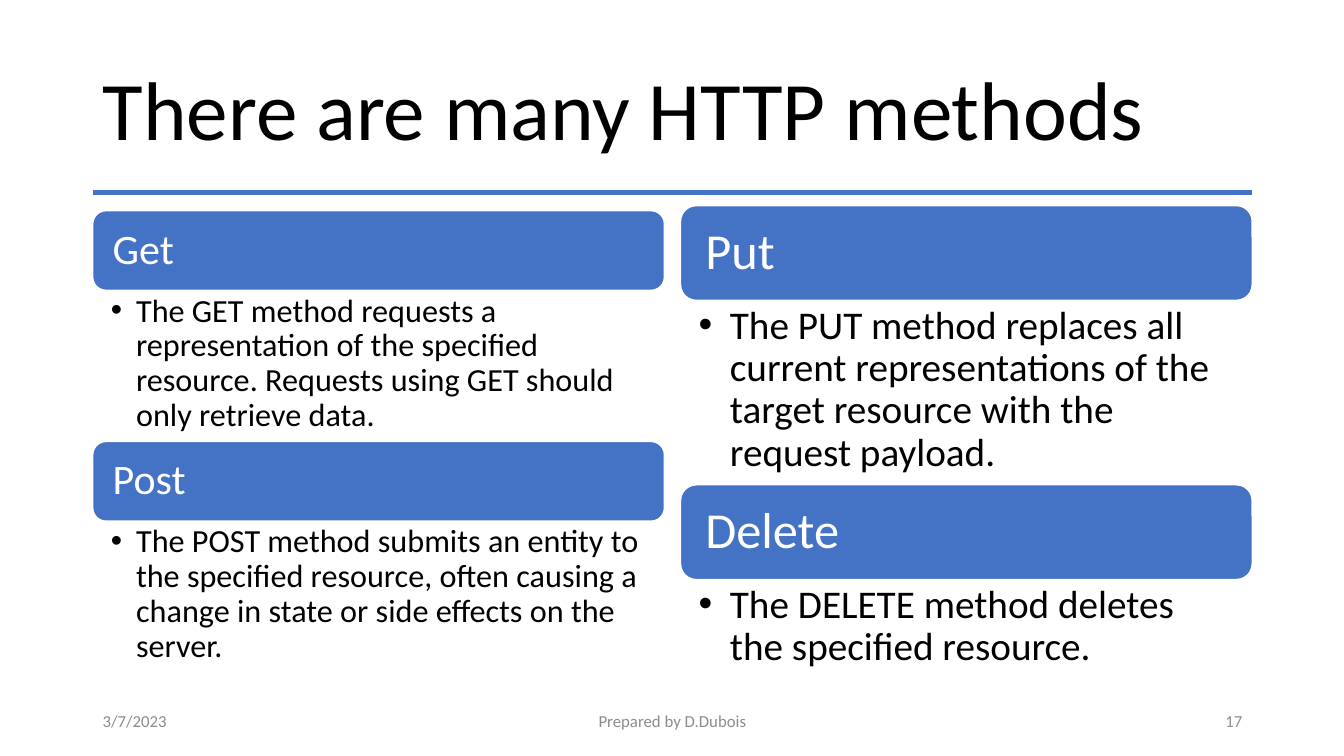
from lxml import etree
from pptx import Presentation, util as u
from pptx.dml.color import RGBColor
from pptx.enum import shapes, text
from pptx.oxml.ns import qn

TITLE = "There are many HTTP methods"
COLUMNS = [
    {
        "left": 92, "top": 209, "header": 79, "header_inset": 16, "header_size": 30,
        "body_size": 23, "indent": 25, "inset": (18, 4, 23, 4),
        "methods": [
            ("Get", "The GET method requests a representation of the specified resource. "
                    "Requests using GET should only retrieve data.", 150),
            ("Post", "The POST method submits an entity to the specified resource, often "
                     "causing a change in state or side effects on the server.", 150),
        ],
    },
    {
        "left": 675, "top": 204, "header": 94, "header_inset": 20, "header_size": 36,
        "body_size": 28, "indent": 31, "inset": (18, 5, 28, 5),
        "methods": [
            ("Put", "The PUT method replaces all current representations of the target "
                    "resource with the request payload.", 183),
            ("Delete", "The DELETE method deletes the specified resource.", 96),
        ],
    },
]
FOOTER = [
    ("3/7/2023", 92, 300, text.PP_ALIGN.LEFT),
    ("Prepared by D.Dubois", 442, 450, text.PP_ALIGN.CENTER),
    ("17", 942, 300, text.PP_ALIGN.RIGHT),
]
THEME = {
    "font": "Calibri", "title_size": 59.4, "footer_size": 12,
    "accent": RGBColor.from_string("4472C4"),
    "white": RGBColor.from_string("FFFFFF"),
    "ink": RGBColor.from_string("000000"),
    "muted": RGBColor.from_string("8C8C8C"),
}
LEFT, WIDTH, COLUMN_WIDTH = 92, 1150, 567
RULE_TOP = 191
FOOTER_TOP, FOOTER_HEIGHT = 695, 40
DEFAULT_INSET = (10, 5, 10, 5)


def px(length):
    return u.Emu(length * 9144)


def write(shape, content, size, color, inset=DEFAULT_INSET, spacing=1.0,
          anchor=text.MSO_ANCHOR.MIDDLE, align=text.PP_ALIGN.LEFT):
    frame = shape.text_frame
    frame.text = content
    frame.word_wrap = True
    frame.vertical_anchor = anchor
    (frame.margin_left, frame.margin_top,
     frame.margin_right, frame.margin_bottom) = map(px, inset)
    paragraph = frame.paragraphs[0]
    paragraph.alignment = align
    paragraph.line_spacing = spacing
    font = paragraph.runs[0].font
    font.name, font.size = THEME["font"], u.Pt(size)
    font.color.rgb = color
    return paragraph


def add_text(slide, box, *args, **options):
    return write(slide.shapes.add_textbox(*map(px, box)), *args, **options)


def add_bullet(paragraph, indent):
    properties = paragraph._p.get_or_add_pPr()
    properties.set("marL", str(px(indent)))
    properties.set("indent", str(-px(indent)))
    etree.SubElement(properties, qn("a:buFont"), typeface="Arial")
    etree.SubElement(properties, qn("a:buChar"), char="•")


def add_header(slide, box, name, column):
    shape = slide.shapes.add_shape(shapes.MSO_SHAPE.ROUNDED_RECTANGLE, *map(px, box))
    shape.shadow.inherit = False
    shape.fill.solid()
    shape.fill.fore_color.rgb = THEME["accent"]
    shape.line.color.rgb = THEME["white"]
    shape.line.width = u.Pt(1)
    write(shape, name, column["header_size"], THEME["white"],
          inset=(column["header_inset"],) * 4, spacing=0.9)


def add_column(slide, column):
    left, top = column["left"], column["top"]
    for name, description, body_height in column["methods"]:
        add_header(slide, (left, top, COLUMN_WIDTH, column["header"]), name, column)
        top += column["header"]
        paragraph = add_text(
            slide, (left, top, COLUMN_WIDTH, body_height), description,
            column["body_size"], THEME["ink"], inset=column["inset"],
            spacing=0.9, anchor=text.MSO_ANCHOR.TOP)
        add_bullet(paragraph, column["indent"])
        top += body_height


def add_rule(slide):
    rule = slide.shapes.add_connector(
        shapes.MSO_CONNECTOR.STRAIGHT,
        *map(px, (LEFT, RULE_TOP, LEFT + WIDTH, RULE_TOP)))
    rule.line.color.rgb = THEME["accent"]
    rule.line.width = u.Pt(3)
    etree.SubElement(rule._element.spPr, qn("a:effectLst"))


def main():
    presentation = Presentation()
    presentation.slide_width, presentation.slide_height = u.Inches(13.33), u.Inches(7.5)
    slide = presentation.slides.add_slide(presentation.slide_layouts[6])
    add_rule(slide)
    add_text(slide, (LEFT, 40, WIDTH, 145), TITLE, THEME["title_size"],
             THEME["ink"], spacing=0.9)
    for column in COLUMNS:
        add_column(slide, column)
    for content, left, width, align in FOOTER:
        add_text(slide, (left, FOOTER_TOP, width, FOOTER_HEIGHT), content,
                 THEME["footer_size"], THEME["muted"], align=align)
    presentation.save("out.pptx")


if __name__ == "__main__":
    main()
